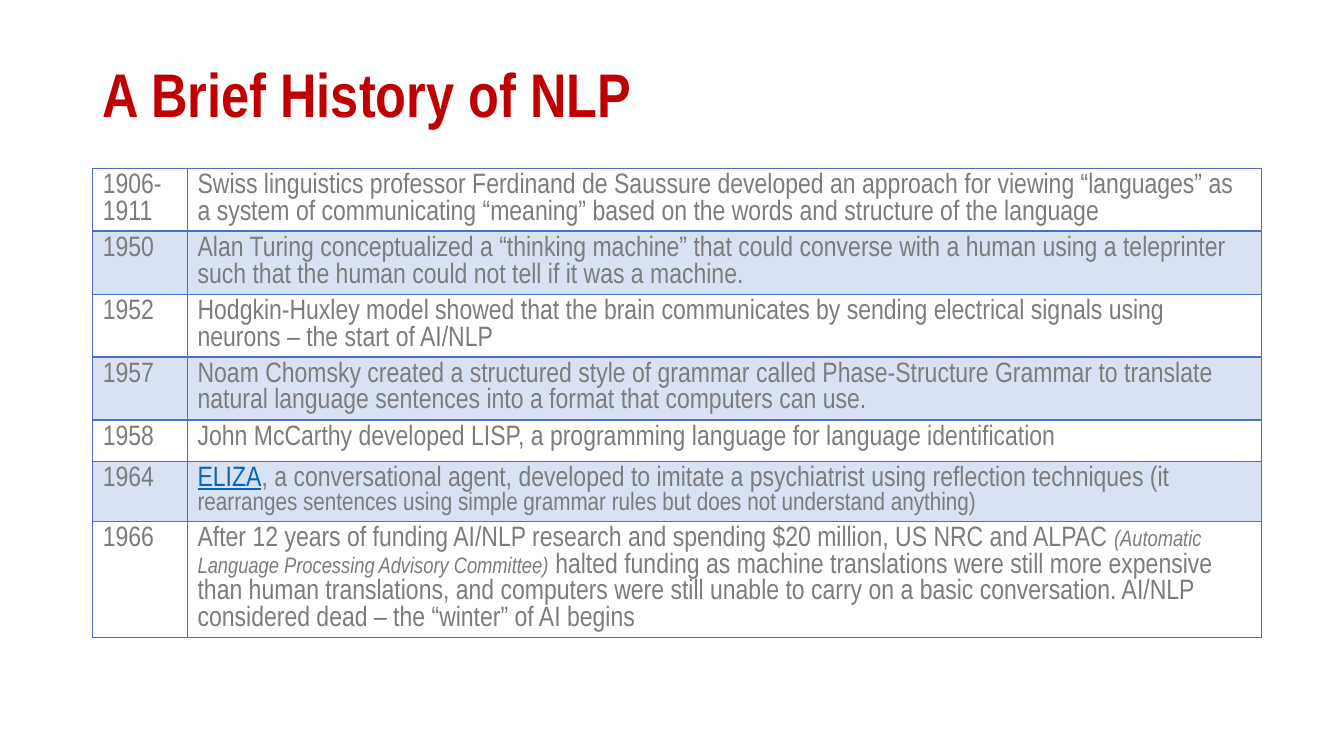
from lxml.etree import SubElement
from pptx import Presentation
from pptx.dml.color import RGBColor
from pptx.enum.text import MSO_ANCHOR, MSO_AUTO_SIZE, PP_ALIGN
from pptx.oxml.ns import qn
from pptx.util import Inches, Pt

RED = RGBColor(0xC0, 0x00, 0x00)
GREY = RGBColor(0x7C, 0x7C, 0x7C)
BLUE = RGBColor(0x44, 0x72, 0xC4)
LINK = RGBColor(0x05, 0x63, 0xC1)
FONT = "Arial Narrow"
BAND_ALPHA = 20  # percent

LEFT = 0.92
COLUMNS = (0.94, 10.65)
ROW_HEIGHT = 0.41

# Each entry: year, then runs of (text, format)
HISTORY = [
    ("1906-1911", [("Swiss linguistics professor Ferdinand de Saussure developed an approach for "
                    "viewing “languages” as a system of communicating “meaning” based on the "
                    "words and structure of the language", {})]),
    ("1950", [("Alan Turing conceptualized a “thinking machine” that could converse with a human "
               "using a teleprinter such that the human could not tell if it was a machine.", {})]),
    ("1952", [("Hodgkin-Huxley model showed that the brain communicates by sending electrical "
               "signals using neurons – the start of AI/NLP", {})]),
    ("1957", [("Noam Chomsky created a structured style of grammar called Phase-Structure Grammar "
               "to translate natural language sentences into a format that computers can use.", {})]),
    ("1958", [("John McCarthy developed LISP, a programming language for language "
               "identification", {})]),
    ("1964", [("ELIZA", {"color": LINK, "underline": True}),
              (", a conversational agent, developed to imitate a psychiatrist using reflection "
               "techniques (it ", {}),
              ("rearranges sentences using simple grammar rules but does not understand "
               "anything)", {"size": 18})]),
    ("1966", [("After 12 years of funding AI/NLP research and spending $20 million, US NRC and "
               "ALPAC ", {}),
              ("(Automatic Language Processing Advisory Committee)", {"size": 16, "italic": True}),
              (" halted funding as machine translations were still more expensive than human "
               "translations, and computers were still unable to carry on a basic conversation. "
               "AI/NLP considered dead – the “winter” of AI begins", {})]),
]


def add_run(p, text, size=20, color=GREY, bold=False, italic=False, underline=False):
    r = p.add_run()
    r.text = text
    f = r.font
    f.name, f.size, f.color.rgb = FONT, Pt(size), color
    f.bold, f.italic, f.underline = bold, italic, underline


def add_title(s, text):
    sp = s.shapes.title
    sp.left, sp.top, sp.width, sp.height = map(Inches, (LEFT, 0.4, 11.5, 1.14))
    tf = sp.text_frame
    tf.vertical_anchor = MSO_ANCHOR.MIDDLE
    tf.auto_size = MSO_AUTO_SIZE.NONE
    tf.word_wrap = True
    p = tf.paragraphs[0]
    p.alignment = PP_ALIGN.LEFT
    p.line_spacing = 0.9
    add_run(p, text, size=44, color=RED, bold=True)


def set_borders(cell, **widths):
    tc_pr = cell._tc.get_or_add_tcPr()
    for side in "LRTB":
        ln = SubElement(tc_pr, qn(f"a:ln{side}"), w=str(Pt(widths.get(side, 1))))
        fill = SubElement(ln, qn("a:solidFill"))
        SubElement(fill, qn("a:srgbClr"), val=str(BLUE))


def set_fill(cell, banded):
    if not banded:
        cell.fill.background()
        return
    cell.fill.solid()
    cell.fill.fore_color.rgb = BLUE
    color = cell._tc.tcPr.find(f"{qn('a:solidFill')}/{qn('a:srgbClr')}")
    SubElement(color, qn("a:alpha"), val=str(BAND_ALPHA * 1000))


def add_timeline(s, entries):
    frame = s.shapes.add_table(len(entries), len(COLUMNS), Inches(LEFT), Inches(1.67),
                               Inches(sum(COLUMNS)), Inches(ROW_HEIGHT * len(entries)))
    table = frame.table
    table.first_row = table.horz_banding = False
    for column, width in zip(table.columns, COLUMNS):
        column.width = Inches(width)
    for i, (year, runs) in enumerate(entries):
        table.rows[i].height = Inches(ROW_HEIGHT)
        # The rule under the first row is thicker
        widths = {0: {"B": 2}, 1: {"T": 2}}.get(i, {})
        for cell, content in zip(table.rows[i].cells, ([(year, {})], runs)):
            set_borders(cell, **widths)
            set_fill(cell, banded=i % 2 == 1)
            for text, style in content:
                add_run(cell.text_frame.paragraphs[0], text, **style)


def main():
    prs = Presentation()
    prs.slide_width, prs.slide_height = Inches(13.33), Inches(7.5)
    s = prs.slides.add_slide(prs.slide_layouts[5])
    add_title(s, "A Brief History of NLP")
    add_timeline(s, HISTORY)
    prs.save("out.pptx")


if __name__ == "__main__":
    main()
